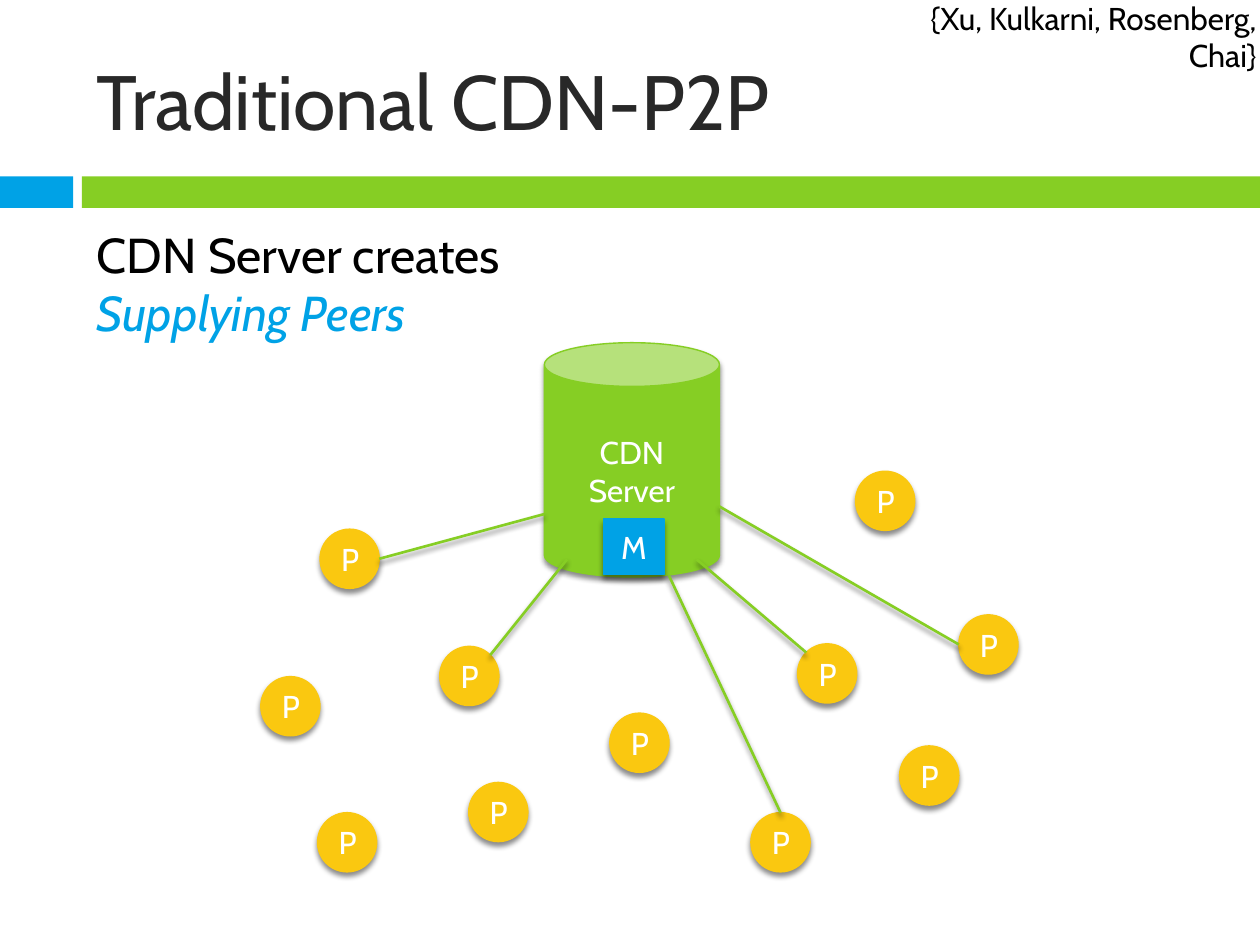
import math

import pptx
import pptx.dml.color
import pptx.enum.shapes
import pptx.enum.text
import pptx.oxml
import pptx.oxml.ns
import pptx.util

SHAPE = pptx.enum.shapes.MSO_SHAPE
ALIGN = pptx.enum.text.PP_ALIGN
ANCHOR = pptx.enum.text.MSO_ANCHOR

GREEN = pptx.dml.color.RGBColor(0x86, 0xCE, 0x24)
BLUE = pptx.dml.color.RGBColor(0x00, 0xA2, 0xE6)
YELLOW = pptx.dml.color.RGBColor(0xFA, 0xC8, 0x10)
DARK = pptx.dml.color.RGBColor(0x28, 0x28, 0x28)
BLACK = pptx.dml.color.RGBColor(0x00, 0x00, 0x00)
WHITE = pptx.dml.color.RGBColor(0xFF, 0xFF, 0xFF)

FONT = "Cabin"
COLUMNS, ROWS = 100, 75
CELL = pptx.util.Inches(0.1)
PEER_SIZE = 4.7

IDLE_PEERS = [(20.7, 53.7), (48.4, 56.6), (37.2, 62.1),
              (67.9, 37.4), (71.4, 59.2), (25.2, 64.5)]
SUPPLYING_PEERS = [
    ((25.4, 42), 0, (43.2, 40.8)),
    ((34.9, 51.3), -45, (45, 44.4)),
    ((59.6, 64.5), -90, (53.1, 45.7)),
    ((63.3, 51.1), -135, (55.3, 44.4)),
    ((76.1, 48.8), 180, (57.1, 40.2)),
]


def grid(*cells):
    return [round(c * CELL) for c in cells]


def add_shadow(sp):
    effects = pptx.oxml.parse_xml(
        f'<a:effectLst {pptx.oxml.ns.nsdecls("a")}>'
        '<a:outerShdw blurRad="38100" dist="30000" dir="5400000" rotWithShape="0">'
        '<a:srgbClr val="000000"><a:alpha val="45000"/></a:srgbClr>'
        '</a:outerShdw></a:effectLst>')
    sp._element.spPr.append(effects)


def style_paragraph(p, size, align):
    p.alignment = align
    p.font.name = FONT
    p.font.size = pptx.util.Pt(size)


def add_bar(s, box, color):
    sp = s.shapes.add_shape(SHAPE.RECTANGLE, *grid(*box))
    sp.fill.solid()
    sp.fill.fore_color.rgb = color
    sp.line.fill.background()
    sp.shadow.inherit = False


def add_node(s, kind, box, color, label):
    sp = s.shapes.add_shape(kind, *grid(*box))
    sp.fill.solid()
    sp.fill.fore_color.rgb = color
    sp.line.color.rgb = color
    sp.line.width = pptx.util.Pt(0.79)
    add_shadow(sp)
    tf = sp.text_frame
    tf.vertical_anchor = ANCHOR.MIDDLE
    p = tf.paragraphs[0]
    p.text = label
    style_paragraph(p, 18, ALIGN.CENTER)
    p.font.color.rgb = WHITE


def add_peer(s, corner):
    add_node(s, SHAPE.OVAL, (*corner, PEER_SIZE, PEER_SIZE), YELLOW, "P")


def add_link(s, corner, angle, end):
    radius = PEER_SIZE / 2
    turn = math.radians(angle)
    start = (corner[0] + radius * (1 + math.cos(turn)),
             corner[1] + radius * (1 + math.sin(turn)))
    line = s.shapes.add_connector(
        pptx.enum.shapes.MSO_CONNECTOR.STRAIGHT, *grid(*start, *end))
    line.line.color.rgb = GREEN
    line.line.width = pptx.util.Pt(1.5)
    add_shadow(line)


def add_text(s, box, size, color, text, align=ALIGN.LEFT, anchor=ANCHOR.TOP):
    tf = s.shapes.add_textbox(*grid(*box)).text_frame
    tf.word_wrap = True
    tf.vertical_anchor = anchor
    p = tf.paragraphs[0]
    p.text = text
    style_paragraph(p, size, align)
    p.font.color.rgb = color
    return p


def main():
    prs = pptx.Presentation()
    prs.slide_width, prs.slide_height = grid(COLUMNS, ROWS)
    s = prs.slides.add_slide(prs.slide_layouts[6])

    add_bar(s, (0, 14, 5.8, 2.5), BLUE)
    add_bar(s, (6.5, 14, COLUMNS - 6.5, 2.5), GREEN)
    add_text(s, (6.7, 2.5, 89.2, 10.8), 44, DARK, "Traditional CDN-P2P",
             anchor=ANCHOR.MIDDLE)

    add_node(s, SHAPE.CAN, (43.2, 27.2, 13.9, 18.6), GREEN, "CDN Server")
    for corner in IDLE_PEERS:
        add_peer(s, corner)
    for corner, angle, end in SUPPLYING_PEERS:
        add_peer(s, corner)
        add_link(s, corner, angle, end)
    add_node(s, SHAPE.RECTANGLE, (47.9, 41.2, 4.8, 4.4), BLUE, "M")

    p = add_text(s, (6.7, 17.3, 36.4, 10.4), 28, BLACK, "CDN Server creates ")
    r = p.add_run()
    r.text = "Supplying Peers"
    r.font.italic = True
    r.font.color.rgb = BLUE
    add_text(s, (67.5, -0.6, 33.2, 4), 18, BLACK,
             "{Xu, Kulkarni, Rosenberg, Chai}", align=ALIGN.RIGHT)

    prs.save("out.pptx")


if __name__ == "__main__":
    main()
